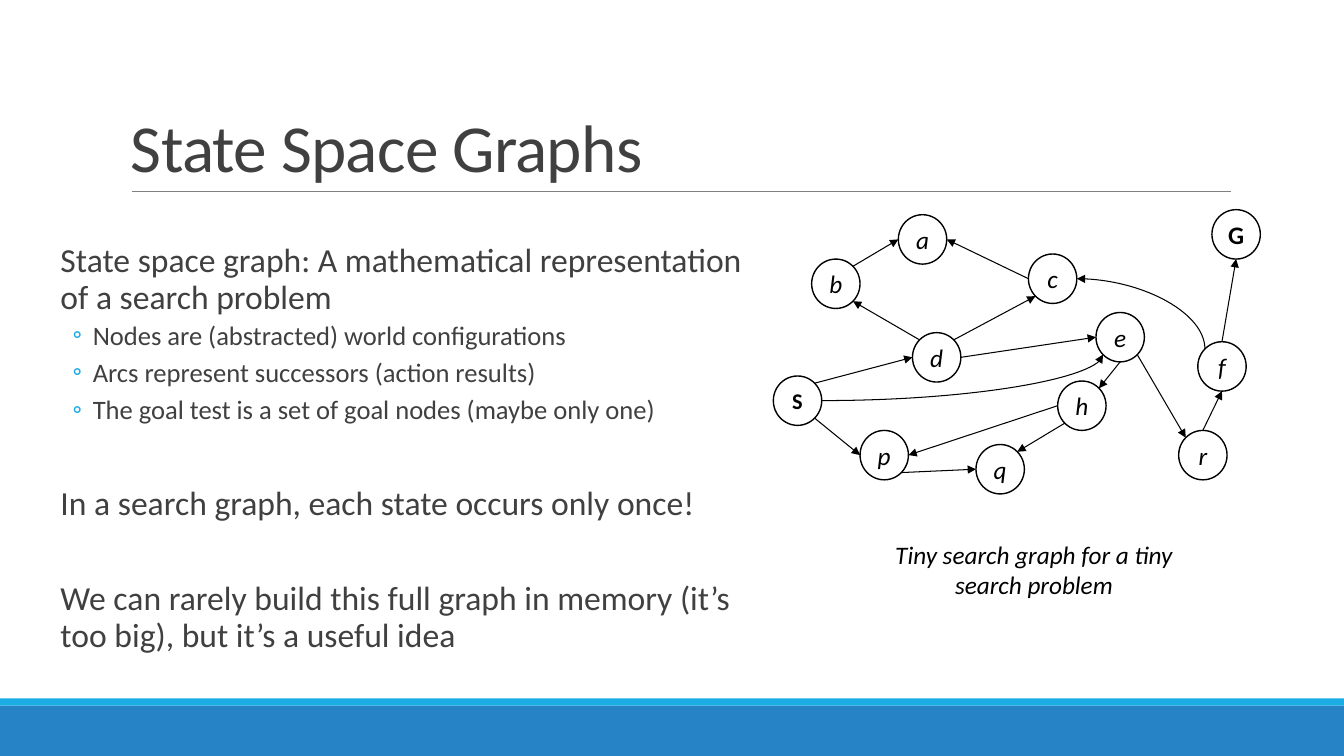
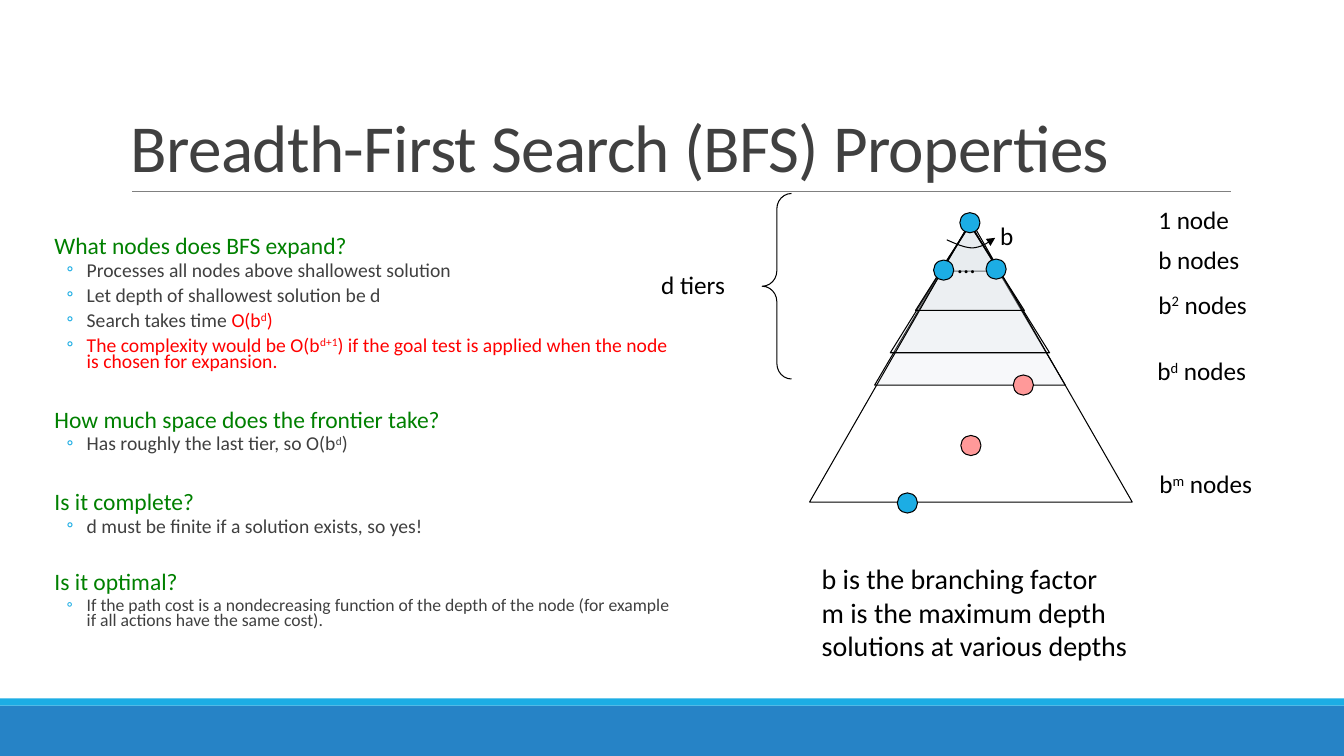
from itertools import cycle
from math import cos, pi, sin

from lxml.etree import SubElement
from pptx import Presentation
from pptx.dml.color import RGBColor
from pptx.enum.shapes import MSO_CONNECTOR as CONNECTOR, MSO_SHAPE as SHAPE
from pptx.enum.text import MSO_ANCHOR as ANCHOR, PP_ALIGN as ALIGN
from pptx.oxml.ns import qn
from pptx.util import Emu, Pt

SCALE = 9144
FONT = "Calibri"
BLACK = RGBColor(0x00, 0x00, 0x00)
DARK = RGBColor(0x40, 0x40, 0x40)
GRAY = RGBColor(0x80, 0x80, 0x80)
BLUE = RGBColor(0x26, 0x83, 0xC6)
CYAN = RGBColor(0x1C, 0xAD, 0xE4)
GREEN = RGBColor(0x00, 0x80, 0x00)
RED = RGBColor(0xFF, 0x00, 0x00)
PINK = RGBColor(0xFF, 0x99, 0x99)
MIST = RGBColor(0xD9, 0xE0, 0xE6)

NODE_WIDTH, NODE_HEIGHT = 48, 49
DOT = 20
SITES = {"right": 0, "bottom right": 1, "bottom": 2, "bottom left": 3,
         "left": 4, "top left": 5, "top": 6, "top right": 7}
NODES = {
    "S": (0, 165), "G": (435, 0), "d": (138, 122), "b": (38, 49),
    "p": (86, 219), "q": (201, 233), "c": (253, 44), "e": (320, 102),
    "h": (282, 170), "a": (124, 5), "f": (421, 131), "r": (402, 219),
}
EDGES = [
    ("S", "bottom right", "p", "left"),
    ("p", "bottom right", "q", "left"),
    ("h", "bottom left", "q", "top right"),
    ("h", "left", "p", "right"),
    ("e", "bottom", "h", "top right"),
    ("e", "bottom right", "r", "top left"),
    ("r", "top", "f", "bottom"),
    ("f", "top", "G", "bottom"),
    ("S", "top right", "d", "left"),
    ("d", "top left", "b", "bottom right"),
    ("b", "top right", "a", "left"),
    ("c", "left", "a", "right"),
    ("d", "top right", "c", "bottom left"),
    ("d", "right", "e", "left"),
]


def px(value):
    return Emu(round(value * SCALE))


def add_runs(paragraph, text, size, color, accent=RED, bold=False, italic=False, spacing=None):
    for part, part_color in zip(text.split("|"), cycle((color, accent))):
        for piece, raised in zip(part.split("^"), cycle((False, True))):
            if not piece:
                continue
            run = paragraph.add_run()
            run.text = piece
            font = run.font
            font.name, font.size, font.bold, font.italic = FONT, Pt(size), bold, italic
            font.color.rgb = part_color
            properties = run._r.get_or_add_rPr()
            if raised:
                properties.set("baseline", "30000")
            if spacing:
                properties.set("spc", str(spacing))


def write_paragraph(paragraph, text, size=18, color=BLACK, margin=0, indent=0, bullet=None,
                    before=0, after=0, leading=None, align=ALIGN.LEFT, **run_format):
    properties = paragraph._p.get_or_add_pPr()
    properties.set("marL", str(px(margin)))
    properties.set("indent", str(px(indent)))
    if bullet:
        bullet_color = SubElement(properties, qn("a:buClr"))
        SubElement(bullet_color, qn("a:srgbClr")).set("val", str(CYAN))
        SubElement(properties, qn("a:buFont")).set("typeface", FONT)
        SubElement(properties, qn("a:buChar")).set("char", bullet)
    paragraph.alignment = align
    paragraph.space_before, paragraph.space_after = Pt(before), Pt(after)
    if leading:
        paragraph.line_spacing = leading
    add_runs(paragraph, text, size, color, **run_format)


def add_text(slide, box, paragraphs, anchor=ANCHOR.TOP, side_inset=10, **shared):
    frame = slide.shapes.add_textbox(*map(px, box)).text_frame
    frame.word_wrap = True
    frame.vertical_anchor = anchor
    frame.margin_left = frame.margin_right = px(side_inset)
    frame.margin_top = frame.margin_bottom = px(5)
    for index, entry in enumerate(paragraphs):
        paragraph = frame.add_paragraph() if index else frame.paragraphs[0]
        write_paragraph(paragraph, **{**shared, **entry})


def add_label(slide, box, text, **text_format):
    add_text(slide, box, [{"text": text}], **text_format)


def style_shape(shape, fill=None, line=BLACK, width=0.75, opacity=None):
    shape.shadow.inherit = False
    if fill is None:
        shape.fill.background()
    else:
        shape.fill.solid()
        shape.fill.fore_color.rgb = fill
    if opacity:
        color = shape._element.spPr.find(qn("a:solidFill"))[0]
        SubElement(color, qn("a:alpha")).set("val", str(opacity * 1000))
    if line is None:
        shape.line.fill.background()
    else:
        shape.line.color.rgb = line
        shape.line.width = Pt(width)


def add_figure(slide, kind, box, **style):
    shape = slide.shapes.add_shape(kind, *map(px, box))
    style_shape(shape, **style)
    return shape


def add_arrowhead(shape, end):
    SubElement(shape.line._get_or_add_ln(), qn("a:" + end)).set("type", "triangle")


def add_line(slide, start, finish, color=BLACK, width=0.75, arrow=None, curved=False):
    kind = CONNECTOR.CURVE if curved else CONNECTOR.STRAIGHT
    connector = slide.shapes.add_connector(kind, *map(px, (*start, *finish)))
    if curved:
        connector._element.spPr.find(qn("a:prstGeom")).set("prst", "curvedConnector2")
    connector.line.color.rgb = color
    connector.line.width = Pt(width)
    if arrow:
        add_arrowhead(connector, arrow)
    SubElement(connector._element.spPr, qn("a:effectLst"))


def add_curve(slide, points):
    builder = slide.shapes.build_freeform(*points[0], scale=SCALE)
    builder.add_line_segments(points[1:], close=False)
    shape = builder.convert_to_shape()
    outline = next(shape._element.iter(qn("a:path")))
    segments = outline.findall(qn("a:lnTo"))
    for first in range(0, len(segments), 3):
        bezier = SubElement(outline, qn("a:cubicBezTo"))
        for segment in segments[first:first + 3]:
            bezier.append(segment[0])
            outline.remove(segment)
    style_shape(shape)
    add_arrowhead(shape, "tailEnd")


def heading(text, before=0, **text_format):
    return {"text": text, "margin": 10, "before": before, "after": 2, **text_format}


def point(text, size):
    return {"text": text, "size": size, "margin": 42, "indent": -20, "bullet": "◦",
            "before": 2, "after": 4}


def add_titled_slide(presentation, title):
    slide = presentation.slides.add_slide(presentation.slide_layouts[6])
    add_figure(slide, SHAPE.RECTANGLE, (0, 700, 1333, 50), fill=BLUE, line=None)
    add_figure(slide, SHAPE.RECTANGLE, (0, 693, 1333, 7), fill=CYAN, line=None)
    add_line(slide, (131, 190), (1221, 190), color=GRAY, width=0.5)
    add_label(slide, (120, 31, 1100, 159), title, anchor=ANCHOR.BOTTOM, size=48,
              color=DARK, leading=0.85, spacing=-50)
    return slide


def add_search_graph(slide, left, top):
    def site(name, side):
        x, y = NODES[name]
        angle = SITES[side] * pi / 4
        return (left + x + NODE_WIDTH / 2 * (1 + cos(angle)),
                top + y + NODE_HEIGHT / 2 * (1 + sin(angle)))

    for name, (x, y) in NODES.items():
        node = add_figure(slide, SHAPE.FLOWCHART_CONNECTOR,
                          (left + x, top + y, NODE_WIDTH, NODE_HEIGHT), width=1)
        frame = node.text_frame
        frame.word_wrap = False
        frame.vertical_anchor = ANCHOR.MIDDLE
        terminal = name.isupper()
        write_paragraph(frame.paragraphs[0], name, size=16 if name == "S" else 18,
                        align=ALIGN.CENTER, bold=terminal, italic=not terminal)
    for source, source_side, target, target_side in EDGES:
        add_line(slide, site(source, source_side), site(target, target_side), arrow="tailEnd")
    add_line(slide, site("c", "right"), site("f", "top left"), arrow="headEnd", curved=True)
    add_line(slide, site("S", "right"), site("e", "bottom left"), arrow="tailEnd", curved=True)


def add_search_tree(slide, left, top):
    apex = left + 159
    for offset, width, height in ((4, 60, 46), (2, 189, 161), (4, 158, 127), (4, 108, 85)):
        add_figure(slide, SHAPE.ISOSCELES_TRIANGLE,
                   (apex - width / 2, top + offset, width, height), fill=MIST, opacity=20)
    add_figure(slide, SHAPE.ISOSCELES_TRIANGLE, (left, top, 320, 279))
    for x, y, color in ((149, -8, CYAN), (123, 39, CYAN), (175, 38, CYAN),
                        (87, 270, CYAN), (202, 153, PINK), (150, 213, PINK)):
        add_figure(slide, SHAPE.OVAL, (left + x, top + y, DOT, DOT), fill=color)
    add_label(slide, (left + 137, top + 22, 30, 40), "…")
    arc = ((136, 19), (145, 23), (154, 27), (162, 27), (170, 26), (177, 22), (184, 17))
    add_curve(slide, [(left + x, top + y) for x, y in arc])
    add_label(slide, (left + 179, top - 5, 33, 40), "b")
    brace = add_figure(slide, SHAPE.LEFT_BRACE, (left - 47, top - 27, 29, 184))
    brace.adjustments[0] = 0.53
    add_label(slide, (left - 157, top + 43, 138, 40), "d tiers")
    for x, y, text in ((336, -21, "1 node"), (336, 18, "b nodes"), (336, 63, "b^2^ nodes"),
                       (335, 129, "b^d^ nodes"), (337, 241, "b^m^ nodes")):
        add_label(slide, (left + x, top + y, 160, 40), text)


def build_graph_slide(presentation):
    slide = add_titled_slide(presentation, "State Space Graphs")
    add_text(slide, (50, 237, 692, 439), [
        heading("State space graph: A mathematical representation of a search problem"),
        point("Nodes are (abstracted) world configurations", 19),
        point("Arcs represent successors (action results)", 19),
        point("The goal test is a set of goal nodes (maybe only one)", 19),
        heading("In a search graph, each state occurs only once!", 40),
        heading("We can rarely build this full graph in memory (it’s too big), "
                "but it’s a useful idea", 40),
    ], side_inset=0, size=24, color=DARK, leading=0.9)
    add_search_graph(slide, 767, 208)
    add_label(slide, (844, 530, 363, 71), "Tiny search graph for a tiny search problem",
              align=ALIGN.CENTER, italic=True)


def build_properties_slide(presentation):
    slide = add_titled_slide(presentation, "Breadth-First Search (BFS) Properties")
    question = {"size": 16.8, "color": GREEN}
    add_text(slide, (44, 232, 622, 438), [
        heading("What nodes does BFS expand?", **question),
        point("Processes all nodes above shallowest solution", 14),
        point("Let depth of shallowest solution be d", 14),
        point("Search takes time |O(b^d^)", 14),
        point("|The complexity would be O(b^d+1^) if the goal test is applied "
              "when the node is chosen for expansion.", 14),
        heading("How much space does the frontier take?", 25, **question),
        point("Has roughly the last tier, so O(b^d^)", 14),
        heading("Is it complete?", 25, **question),
        point("d must be finite if a solution exists, so yes!", 14),
        heading("Is it optimal?", 23, **question),
        point("If the path cost is a nondecreasing function of the depth of the node "
              "(for example if all actions have the same cost).", 12.6),
    ], side_inset=0, color=DARK, leading=0.7)
    add_search_tree(slide, 803, 219)
    legend = ("b is the branching factor", "m is the maximum depth",
              "solutions at various depths")
    add_text(slide, (755, 552, 578, 111), [{"text": line} for line in legend],
             size=20, margin=50)


def main():
    presentation = Presentation()
    presentation.slide_width, presentation.slide_height = px(1333), px(750)
    build_graph_slide(presentation)
    build_properties_slide(presentation)
    presentation.save("out.pptx")


if __name__ == "__main__":
    main()
